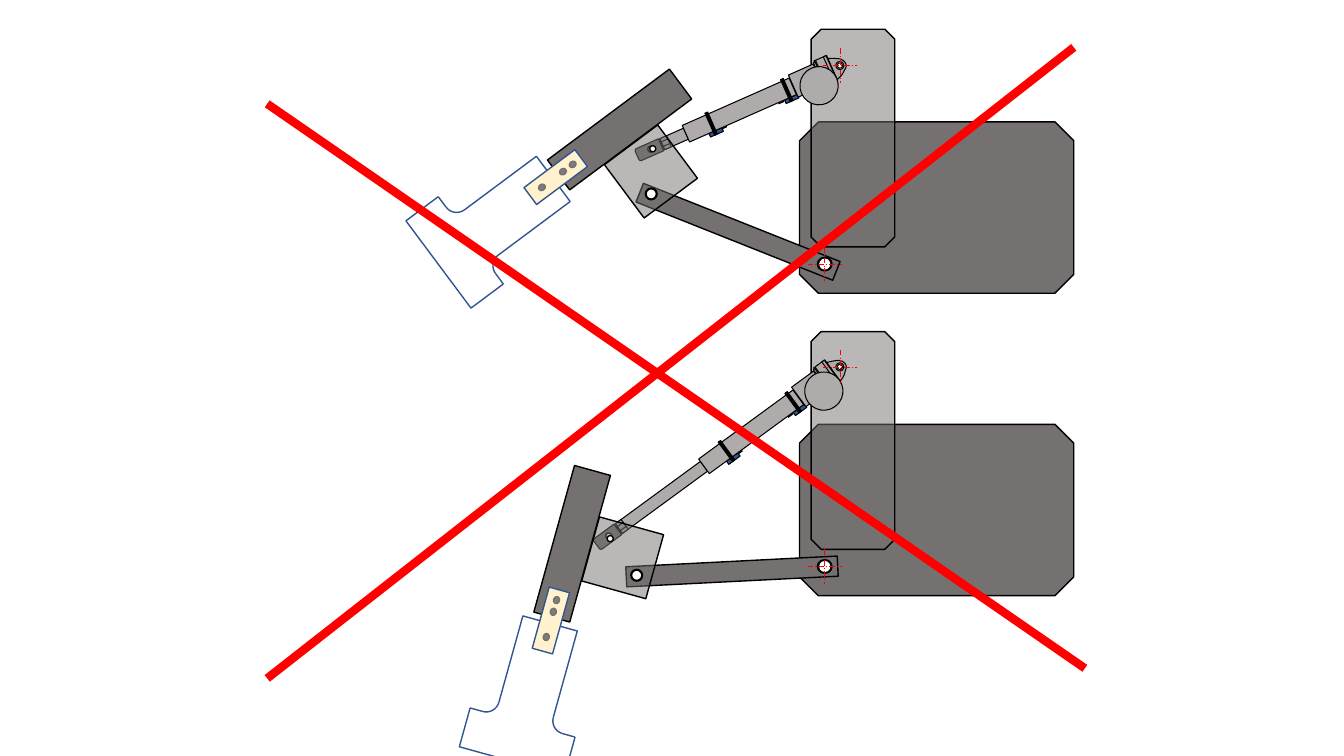
"""Builds a crossed-out slide with two poses of a hydraulic arm and its gripper head."""
from math import cos, radians, sin

from lxml.etree import SubElement
from pptx import Presentation
from pptx.dml.color import RGBColor
from pptx.enum.dml import MSO_LINE
from pptx.enum.shapes import MSO_CONNECTOR, MSO_SHAPE
from pptx.oxml.ns import qn
from pptx.util import Inches, Pt

THEME = {
    "steel": "767171", "metal": "AFABAB", "white": "FFFFFF", "black": "000000",
    "clip": "2F5597", "outline": "325491", "strip": "FFF2CC", "rivet": "7C7C7C",
    "red": "FF0000", "fine": 0.75, "normal": 1, "pin": 1.5, "hair": 0.5, "cross": 6,
}

POSES = [
    {"drop": 0, "link": (7.32, 2.3), "link_angle": 21.7, "pivot": (8.33, 0.65),
     "ram_angle": -23.9, "rod": 0.26, "head": (6.145, 1.285), "head_angle": 53.3},
    {"drop": 3, "link": (7.26, 5.67), "link_angle": -2.9, "pivot": (8.33, 3.64),
     "ram_angle": -36.2, "rod": 1.05, "head": (5.675, 5.395), "head_angle": 15.5},
]

RECT, OVAL = MSO_SHAPE.RECTANGLE, MSO_SHAPE.OVAL
BASE = {"at": (9.29, 2.06), "size": (2.72, 1.7), "corner": 0.11}
HOUSING = {"at": (8.46, 1.37), "size": (0.83, 2.16), "corner": 0.12}
ANCHOR = (8.18, 2.62)
ROD_RIGHT = -1.67
CLIPS = [-0.57, -1.39]
BANDS = [-0.58, -1.4]
TICKS = [-1.3, -0.68]
LUG_START = (-0.09, -0.12)
LUG_CURVES = [
    ((-0.04, -0.09), (-0.04, -0.1), (-0.01, -0.08)),
    ((0.02, -0.07), (0.06, -0.04), (0.06, 0)),
    ((0.07, 0.04), (0.02, 0.06), (0, 0.08)),
    ((-0.03, 0.1), (-0.03, 0.1), (-0.09, 0.12)),
]
RAM_BODY = [
    (RECT, (-1.09, 0), (1.16, 0.18), "metal"),
    (RECT, (-0.37, 0), (0.27, 0.24), "metal"),
    (RECT, (-0.14, -0.01), (0.12, 0.27), "metal"),
    (RECT, (-0.1, -0.01), (0.03, 0.27), "metal"),
    *[(RECT, (x, 0.01), (0.03, 0.24), "black") for x in BANDS],
    (OVAL, (-0.27, 0.1), (0.38, 0.38), "metal"),
    (OVAL, (0, 0), (0.08, 0.08), "metal"),
    (OVAL, (0, 0), (0.05, 0.05), "white"),
]
RIVETS = [0.96, 0.7, 0.58]
JAW_HALF, JAW_TOP, JAW_END = 0.54, 1.84, 2.24
NECK_HALF, NECK_TOP, NECK_END = 0.28, 0.82, 1.71
FILLET = JAW_TOP - NECK_END
CROSS = [((2.65, 1.03), (10.76, 6.63)), ((2.65, 6.73), (10.65, 0.47))]

prs = Presentation()
prs.slide_width, prs.slide_height = Inches(13.33), Inches(7.5)
shapes = prs.slides.add_slide(prs.slide_layouts[6]).shapes


def paint(sp, fill, line, width, alpha=None):
    sp.shadow.inherit = False
    if fill:
        sp.fill.solid()
        sp.fill.fore_color.rgb = RGBColor.from_string(THEME[fill])
    else:
        sp.fill.background()
    if alpha:
        color = sp._element.spPr.find(qn("a:solidFill"))[0]
        SubElement(color, qn("a:alpha")).set("val", str(alpha * 1000))
    if line:
        sp.line.color.rgb = RGBColor.from_string(THEME[line])
        sp.line.width = Pt(THEME[width])
    else:
        sp.line.fill.background()


def part(kind, centre, size, fill, angle=0, line="black", width="normal", alpha=None, adj=None):
    (x, y), (w, h) = centre, size
    sp = shapes.add_shape(kind, Inches(x - w / 2), Inches(y - h / 2), Inches(w), Inches(h))
    sp.rotation = angle % 360
    if adj is not None:
        sp.adjustments[0] = adj
    paint(sp, fill, line, width, alpha)


def outline(points, fill=None, line="outline", width="normal", close=False):
    (x, y), *rest = [(Inches(x), Inches(y)) for x, y in points]
    builder = shapes.build_freeform(x, y, scale=1.0)
    builder.add_line_segments(rest, close=close)
    paint(builder.convert_to_shape(), fill, line, width)


def segment(start, end, color, width, dash=None):
    c = shapes.add_connector(MSO_CONNECTOR.STRAIGHT, *[Inches(v) for v in (*start, *end)])
    c.line.color.rgb = RGBColor.from_string(THEME[color])
    c.line.width = Pt(THEME[width])
    if dash:
        c.line.dash_style = dash
    SubElement(c._element.spPr, qn("a:effectLst"))


def crosshair(x, y, reach=0.17):
    for dx, dy in ((reach, 0), (0, reach)):
        segment((x - dx, y - dy), (x + dx, y + dy), "red", "hair", MSO_LINE.LONG_DASH_DOT)


def frame(origin, angle):
    c, s = cos(radians(angle)), sin(radians(angle))
    return lambda x, y: (origin[0] + x * c - y * s, origin[1] + x * s + y * c)


def bezier(start, c1, c2, end, steps=8):
    return [tuple((1 - t) ** 3 * a + 3 * (1 - t) ** 2 * t * b + 3 * (1 - t) * t * t * c + t ** 3 * d
                  for a, b, c, d in zip(start, c1, c2, end))
            for t in (i / steps for i in range(1, steps + 1))]


def draw_frame(drop):
    for box, alpha in ((BASE, None), (HOUSING, 50)):
        x, y = box["at"]
        part(MSO_SHAPE.OCTAGON, (x, y + drop), box["size"], "steel", alpha=alpha, adj=box["corner"])


def draw_ram(pivot, angle, rod):
    at = frame(pivot, angle)
    tip = ROD_RIGHT - rod
    fine = {"angle": angle, "width": "fine"}
    upright = {"angle": angle - 90, "width": "fine"}
    for x in CLIPS:
        part(RECT, at(x, 0.11), (0.14, 0.04), "clip", **fine)
    lug = [LUG_START]
    for curve in LUG_CURVES:
        lug += bezier(lug[-1], *curve)
    outline([at(*p) for p in lug], "metal", "black", "fine", close=True)
    part(MSO_SHAPE.TRAPEZOID, at(-0.22, 0), (0.3, 0.02), "metal", adj=1.22, **upright)
    part(RECT, at(tip + rod / 2, 0), (rod, 0.12), "metal", **fine)
    for height in (0.12, 0.05):
        part(RECT, at(tip + 0.04, 0), (0.07, height), "metal", **fine)
    for kind, centre, size, fill in RAM_BODY:
        part(kind, at(*centre), size, fill, **fine)
    for x in TICKS:
        outline([at(x - 0.03, 0.1), at(x + 0.03, 0.1)], line="black")
    part(MSO_SHAPE.ROUND_2_SAME_RECTANGLE, at(tip - 0.14, 0), (0.13, 0.26), "steel", **upright)
    part(OVAL, at(tip - 0.12, 0), (0.06, 0.06), "white")
    crosshair(*pivot)


def draw_link(centre, angle, drop):
    anchor = (ANCHOR[0], ANCHOR[1] + drop)
    part(RECT, centre, (2.1, 0.2), "steel", angle)
    part(OVAL, anchor, (0.16, 0.15), "black", line=None)
    part(OVAL, anchor, (0.11, 0.11), "white", line=None)
    crosshair(*anchor)


def draw_head(centre, angle):
    at = frame(centre, angle)
    part(RECT, at(0.52, 0), (0.66, 0.66), "steel", angle, alpha=50)
    part(OVAL, at(0.7, 0.13), (0.11, 0.11), "white", width="pin")
    part(OVAL, at(0.35, -0.15), (0.06, 0.06), "white")
    part(RECT, at(0, 0), (0.37, 1.51), "steel", angle)
    for half, start, turn in ((JAW_HALF, JAW_TOP, JAW_END), (NECK_HALF, NECK_END, NECK_TOP)):
        corners = [(half, start), (half, turn), (-half, turn), (-half, start)]
        outline([at(*p) for p in corners], "white")
    for side in (1, -1):
        foot, neck = (side * (NECK_HALF + FILLET), JAW_TOP), (side * NECK_HALF, NECK_END)
        c1 = (side * (NECK_HALF + FILLET * 0.45), JAW_TOP)
        c2 = (side * NECK_HALF, NECK_END + FILLET * 0.55)
        outline([at(*p) for p in [foot, *bezier(foot, c1, c2, neck)]])
        segment(at(side * JAW_HALF, JAW_TOP), at(*foot), "outline", "normal")
    part(RECT, at(0, 0.79), (0.21, 0.63), "strip", angle, line="outline")
    for y in RIVETS:
        part(OVAL, at(0, y), (0.06, 0.07), "rivet", angle, line="steel")


for pose in POSES:
    draw_frame(pose["drop"])
    draw_ram(pose["pivot"], pose["ram_angle"], pose["rod"])
    draw_link(pose["link"], pose["link_angle"], pose["drop"])
    draw_head(pose["head"], pose["head_angle"])
for start, end in CROSS:
    segment(start, end, "red", "cross")

prs.save("out.pptx")
